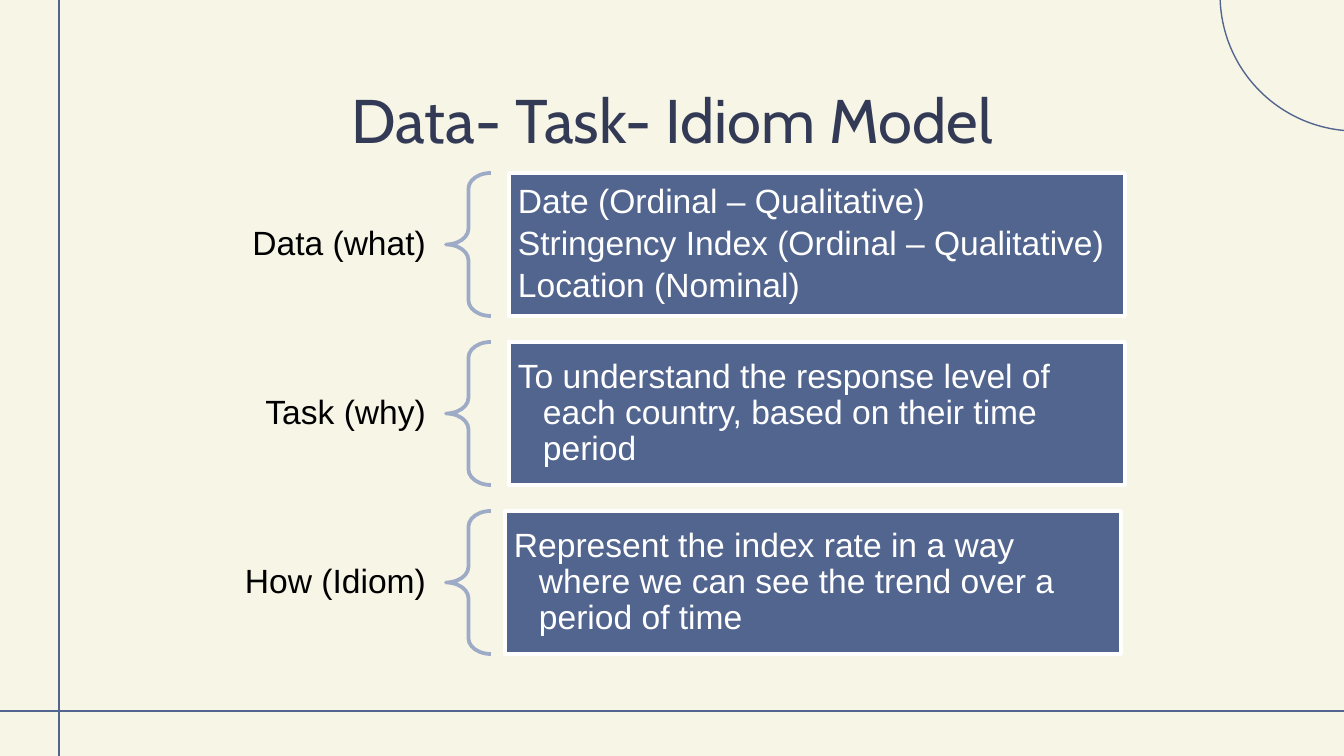
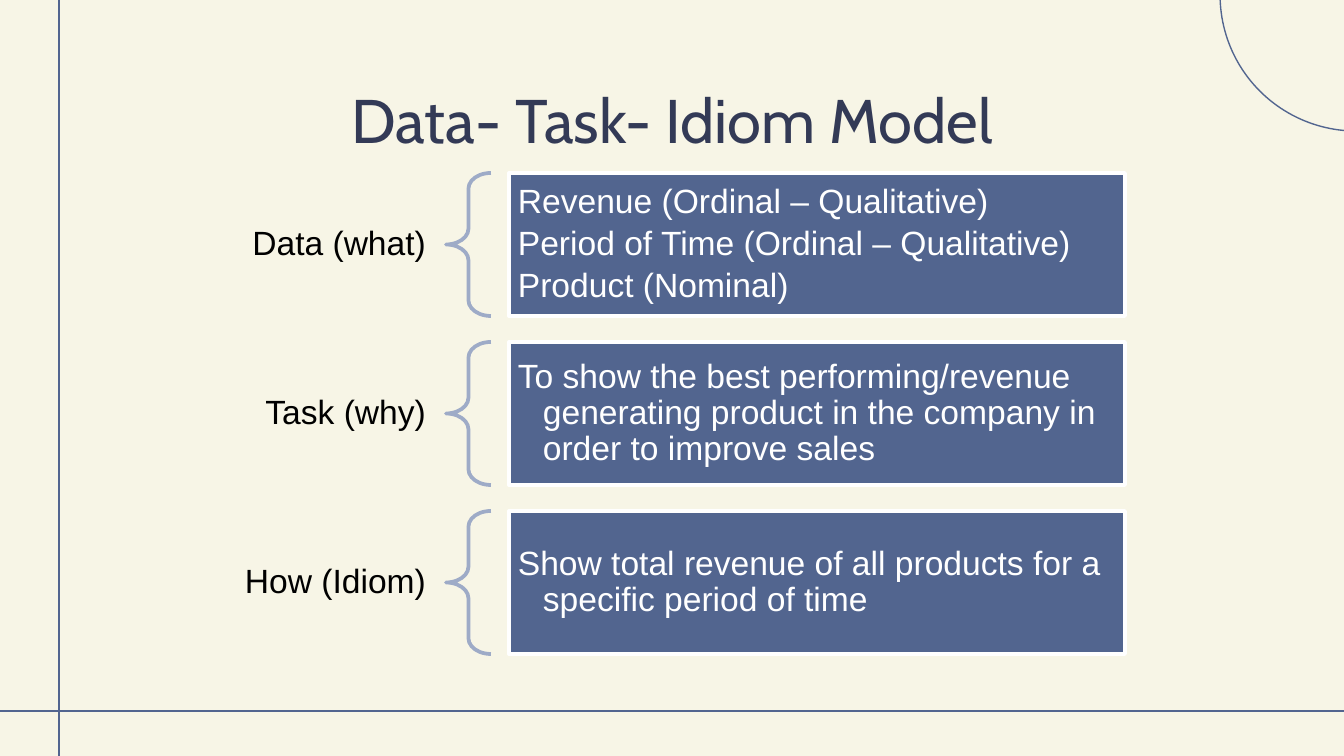
from pptx import Presentation
from pptx.dml.color import RGBColor
from pptx.enum.shapes import MSO_CONNECTOR, MSO_SHAPE
from pptx.enum.text import MSO_ANCHOR, MSO_AUTO_SIZE, PP_ALIGN
from pptx.util import Pt
from lxml.etree import SubElement
from pptx.oxml.ns import qn

SCALE = 9144000 / 1344
CREAM = RGBColor(0xF7, 0xF5, 0xE6)
NAVY = RGBColor(0x33, 0x3A, 0x56)
BLUE = RGBColor(0x52, 0x65, 0x8F)
PALE = RGBColor(0x9E, 0xAB, 0xC7)
WHITE = RGBColor(0xFF, 0xFF, 0xFF)
BLACK = RGBColor(0x00, 0x00, 0x00)

TITLE = "Data- Task- Idiom Model"
LABELS = ["Data (what)", "Task (why)", "How (Idiom)"]
ROW_TOP, ROW_STEP, ROW_HIGH = 173, 169, 143
BOX_LEFT = 509

SLIDES = [
    [
        (BOX_LEFT, ["Date (Ordinal – Qualitative)",
                    "Stringency Index (Ordinal – Qualitative)",
                    "Location (Nominal)"]),
        (BOX_LEFT, ["To understand the response level of each country, "
                    "based on their time period"]),
        (BOX_LEFT - 4, ["Represent the index rate in a way where we can see "
                        "the trend over a period of time"]),
    ],
    [
        (BOX_LEFT, ["Revenue (Ordinal – Qualitative)",
                    "Period of Time (Ordinal – Qualitative)",
                    "Product (Nominal)"]),
        (BOX_LEFT, ["To show the best performing/revenue generating product "
                    "in the company in order to improve sales"]),
        (BOX_LEFT, ["Show total revenue of all products for a specific "
                    "period of time"]),
    ],
]


def px(*sizes):
    """Turn whole px into a list of EMU lengths."""
    return [round(size * SCALE) for size in sizes]


def set_font(para, name, size, color):
    """Set the font of a whole paragraph."""
    para.font.name = name
    para.font.size = Pt(size)
    para.font.color.rgb = color


def set_frame(frame, side, edge):
    """Wrap and centre a text frame, with its side and edge insets."""
    frame.word_wrap = True
    frame.auto_size = MSO_AUTO_SIZE.NONE
    frame.vertical_anchor = MSO_ANCHOR.MIDDLE
    frame.margin_left, frame.margin_right = px(side, side)
    frame.margin_top, frame.margin_bottom = px(edge, edge)


def add_form(slide, kind, place, color, width, fill=None):
    """Add a preset shape with an outline and an optional fill."""
    form = slide.shapes.add_shape(kind, *px(*place))
    form.shadow.inherit = False
    form.line.color.rgb = color
    form.line.width = Pt(width)
    if fill is None:
        form.fill.background()
    else:
        form.fill.solid()
        form.fill.fore_color.rgb = fill
    return form


def add_rule(slide, *ends):
    """Add a thin straight line."""
    rule = slide.shapes.add_connector(MSO_CONNECTOR.STRAIGHT, *px(*ends))
    rule.line.color.rgb = BLUE
    rule.line.width = Pt(0.75)
    SubElement(rule._element.spPr, qn("a:effectLst"))


def add_decor(slide):
    """Add the two page rules and the corner arc."""
    add_rule(slide, -3, 711, 1356, 711)
    add_rule(slide, 59, 766, 59, -1)
    arc = add_form(slide, MSO_SHAPE.ARC, (1220, -141, 273, 272), BLUE, 0.75)
    arc.rotation = 180


def add_title(slide, text):
    """Fill and place the title."""
    title = slide.shapes.title
    title.left, title.top, title.width, title.height = px(266, 79, 813, 79)
    set_frame(title.text_frame, 13, 13)
    title.text_frame.text = text
    para = title.text_frame.paragraphs[0]
    para.alignment = PP_ALIGN.CENTER
    set_font(para, "Cabin", 33, NAVY)


def add_label(slide, top, text):
    """Add the right-aligned name of a row."""
    label = slide.shapes.add_textbox(*px(219, top, 226, ROW_HIGH))
    set_frame(label.text_frame, 19, 7)
    para = label.text_frame.paragraphs[0]
    para.text = text
    para.alignment = PP_ALIGN.RIGHT
    para.line_spacing = 0.9
    set_font(para, "Arial", 18, BLACK)


def add_brace(slide, top):
    """Add the brace between a label and its box."""
    brace = add_form(slide, MSO_SHAPE.LEFT_BRACE,
                     (446, top, 45, ROW_HIGH), PALE, 2)
    brace.adjustments[0] = 0.35
    brace.adjustments[1] = 0.5


def add_box(slide, left, top, lines):
    """Add a filled box with hanging lines of text."""
    box = add_form(slide, MSO_SHAPE.RECTANGLE,
                   (left, top, 616, ROW_HIGH), WHITE, 2, BLUE)
    set_frame(box.text_frame, 9, 9)
    box.text_frame.text = "\n".join(lines)
    hang, = px(25)
    for para in box.text_frame.paragraphs:
        para.level = 1
        para.alignment = PP_ALIGN.LEFT
        para.line_spacing = 0.9
        para.space_after = Pt(3)
        set_font(para, "Arial", 18, WHITE)
        props = para._p.get_or_add_pPr()
        props.set("marL", str(hang))
        props.set("indent", str(-hang))


def add_model(deck, rows):
    """Add one slide with its labelled rows."""
    slide = deck.slides.add_slide(deck.slide_layouts[5])
    add_decor(slide)
    add_title(slide, TITLE)
    for index, (label, (left, lines)) in enumerate(zip(LABELS, rows)):
        top = ROW_TOP + index * ROW_STEP
        add_label(slide, top, label)
        add_brace(slide, top)
        add_box(slide, left, top, lines)


def main():
    """Build and save the deck."""
    deck = Presentation()
    deck.slide_width, deck.slide_height = px(1344, 756)
    ground = deck.slide_master.background.fill
    ground.solid()
    ground.fore_color.rgb = CREAM
    for rows in SLIDES:
        add_model(deck, rows)
    deck.save("out.pptx")


if __name__ == "__main__":
    main()
